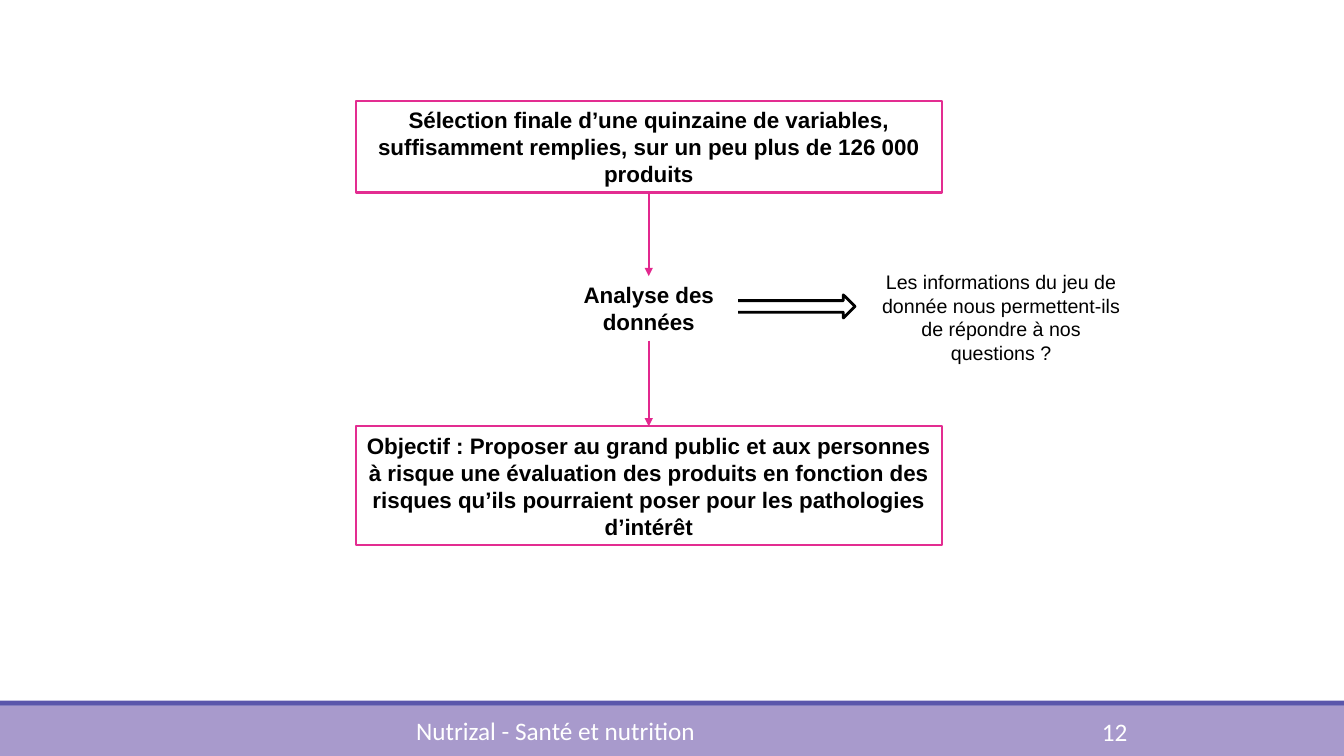
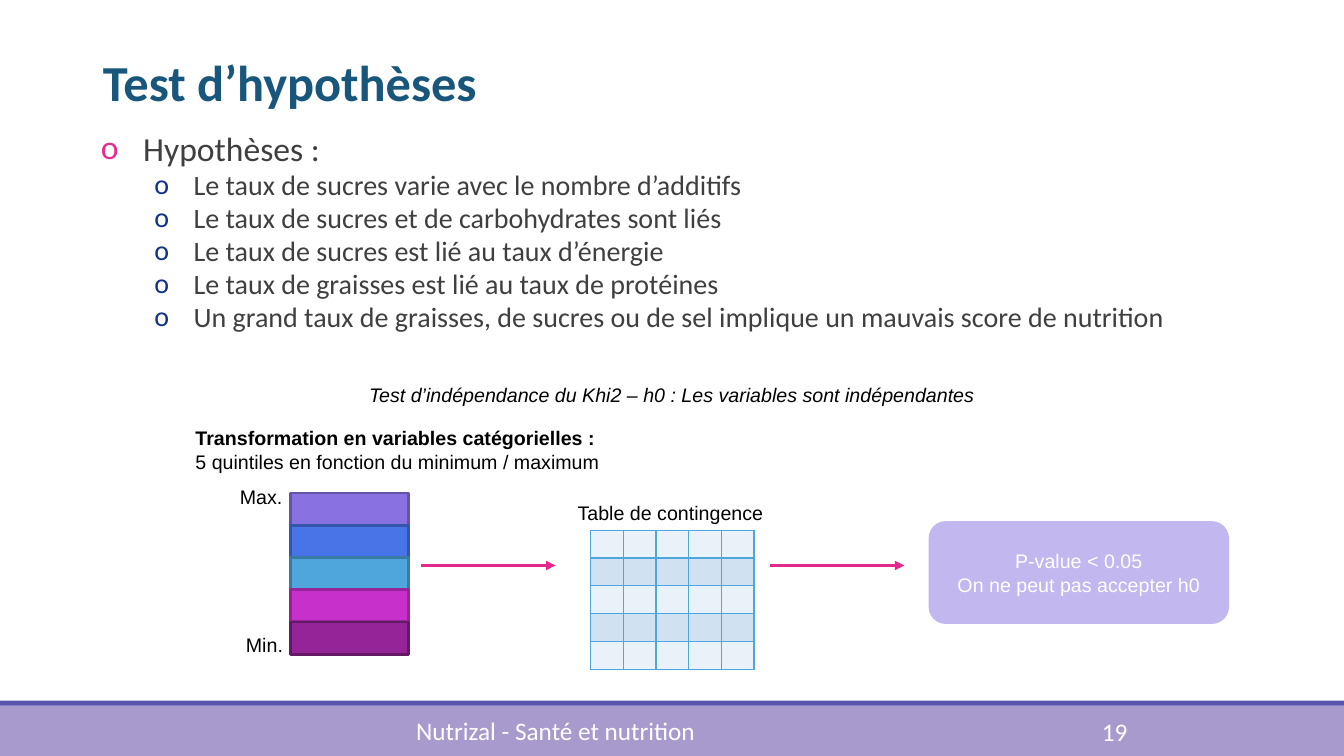
"""Build two slides on food data: the analysis flow and the hypothesis tests."""
from dataclasses import dataclass

from lxml import etree
from pptx import Presentation
from pptx import util as u
from pptx.dml.color import RGBColor
from pptx.enum import shapes, text
from pptx.oxml.ns import qn

LEFT, CENTER = text.PP_ALIGN.LEFT, text.PP_ALIGN.CENTER
SHAPE = shapes.MSO_SHAPE


@dataclass(frozen=True)
class Theme:
    """Colours, fonts and type sizes of the deck."""
    black: str = "000000"
    white: str = "FFFFFF"
    title: str = "18567C"
    body: str = "3F3F3F"
    box_line: str = "E32D91"
    arrow: str = "E2288E"
    sub_bullet: str = "113285"
    band: str = "472993"
    band_edge: str = "211C8E"
    result: str = "8971E1"
    grid_line: str = "4EA6DC"
    grid_fills: tuple = ("E9F1F9", "D0E1F2")
    quintiles: tuple = (("8971E1", "6554A6"), ("4775E7", "3557AB"),
                        ("4EA6DC", "3A7BA3"), ("C830CC", "942497"),
                        ("962499", "641866"))
    text_font: str = "Calibri"
    diagram_font: str = "Arial"
    title_size: int = 36
    body_size: int = 24
    sub_size: int = 20
    footer_size: int = 18
    step_size: int = 16
    note_size: int = 14
    cell_size: int = 8


T = Theme()


def rgb(color):
    """Turn a hex string into a colour."""
    return RGBColor.from_string(color)


def add_xml(parent, tag, **attrs):
    """Append a DrawingML child element."""
    return etree.SubElement(parent, qn(tag), attrs)


def add_run(p, content, size, color, font, style=""):
    """Add one formatted run; style holds b for bold and i for italic."""
    r = p.add_run()
    r.text = content
    r.font.size, r.font.name = u.Pt(size), font
    r.font.color.rgb = rgb(color)
    r.font.bold, r.font.italic = "b" in style, "i" in style


def write(tf, lines, size=T.note_size, color=T.black, align=LEFT,
          font=T.diagram_font):
    """Write (text, style) lines as paragraphs."""
    tf.word_wrap = True
    for i, (content, style) in enumerate(lines):
        p = tf.paragraphs[0] if i == 0 else tf.add_paragraph()
        p.alignment = align
        add_run(p, content, size, color, font, style)


def add_label(s, at, *lines, **fmt):
    """Add a text box."""
    sp = s.shapes.add_textbox(*map(u.Inches, at))
    write(sp.text_frame, lines, **fmt)
    return sp


def style_shape(sp, fill=None, line=None, width=2, opacity=100):
    """Set the fill, outline and opacity of a shape, without shadow."""
    sp.shadow.inherit = False
    if fill:
        sp.fill.solid()
        sp.fill.fore_color.rgb = rgb(fill)
        if opacity < 100:
            color = sp.element.spPr.find(qn("a:solidFill"))[0]
            add_xml(color, "a:alpha", val=str(opacity * 1000))
    else:
        sp.fill.background()
    if line:
        sp.line.color.rgb = rgb(line)
        sp.line.width = u.Pt(width)
    else:
        sp.line.fill.background()


def add_block(s, at, kind=SHAPE.RECTANGLE, **look):
    """Add a styled preset shape."""
    sp = s.shapes.add_shape(kind, *map(u.Inches, at))
    style_shape(sp, **look)
    return sp


def add_step(s, at, content):
    """Add an outlined box of the flow."""
    sp = add_block(s, at, line=T.box_line, width=1.5)
    write(sp.text_frame, [(content, "b")], size=T.step_size, align=CENTER)
    return sp


def add_arrow(s, start=(0, 0), end=(0, 0), width=2.25):
    """Add a straight arrow."""
    c = s.shapes.add_connector(shapes.MSO_CONNECTOR.STRAIGHT,
                               *map(u.Inches, (*start, *end)))
    c.line.color.rgb = rgb(T.arrow)
    c.line.width = u.Pt(width)
    add_xml(c.element.spPr.find(qn("a:ln")), "a:tailEnd", type="triangle")
    add_xml(c.element.spPr, "a:effectLst")
    return c


def join_down(s, upper, lower):
    """Join the bottom of one shape to the top of another."""
    c = add_arrow(s, width=1.5)
    c.begin_connect(upper, 2)
    c.end_connect(lower, 0)


def add_open_arrow(s, left, right, middle, head=0.115):
    """Add an outlined block arrow that is open at its tail."""
    neck, half = right - head, head / 2
    points = [(left, -half), (neck, -half), (neck, -head), (right, 0),
              (neck, head), (neck, half), (left, half)]
    points = [(u.Inches(x), u.Inches(middle + dy)) for x, dy in points]
    outline = s.shapes.build_freeform(*points[0], scale=1.0)
    outline.add_line_segments(points[1:], close=False)
    style_shape(outline.convert_to_shape(), line=T.black)


def add_grid(s, at, count):
    """Add an empty square table with banded rows."""
    table = s.shapes.add_table(count, count, *map(u.Inches, at)).table
    table.first_row = table.horz_banding = False
    for i, row in enumerate(table.rows):
        for cell in row.cells:
            cell.margin_top = cell.margin_bottom = u.Inches(0.03)
            cell.fill.solid()
            cell.fill.fore_color.rgb = rgb(T.grid_fills[i % 2])
            tc = cell._tc
            add_xml(tc.find(".//" + qn("a:p")), "a:endParaRPr",
                    sz=str(T.cell_size * 100))
            for n, side in enumerate("LRTB"):
                ln = etree.Element(qn("a:ln" + side), w=str(u.Pt(1)))
                add_xml(add_xml(ln, "a:solidFill"), "a:srgbClr",
                        val=T.grid_line)
                tc.tcPr.insert(n, ln)


def place(sp, at):
    """Move and size a placeholder."""
    sp.left, sp.top, sp.width, sp.height = map(u.Inches, at)
    sp.text_frame.auto_size = text.MSO_AUTO_SIZE.NONE


def set_title(s, content):
    """Fill the title placeholder."""
    sp = s.shapes.title
    place(sp, (0.92, 0.39, 11.5, 0.92))
    tf = sp.text_frame
    tf.vertical_anchor = text.MSO_ANCHOR.MIDDLE
    write(tf, [(content, "b")], T.title_size, T.title, font=T.text_font)
    tf.paragraphs[0].line_spacing = 0.85


def add_bullet(p, content, level):
    """Format one list paragraph with its round bullet."""
    size, color, before, left, hang = (
        (T.sub_size, T.sub_bullet, 2, 1, 0.39) if level
        else (T.body_size, T.box_line, 12, 0.5, 0.42))
    p.level, p.line_spacing = level, 0.9
    p.space_before, p.space_after = u.Pt(before), u.Pt(0)
    add_run(p, content, size, T.body, T.text_font)
    pPr = p._p.get_or_add_pPr()
    pPr.set("marL", str(u.Inches(left)))
    pPr.set("indent", str(-u.Inches(hang)))
    add_xml(add_xml(pPr, "a:buClr"), "a:srgbClr", val=color)
    add_xml(pPr, "a:buFont", typeface=T.text_font)
    add_xml(pPr, "a:buChar", char="o")


def set_list(s, heading, items):
    """Fill the body placeholder with a heading and its items."""
    sp = s.placeholders[1]
    place(sp, (0.92, 1.26, 11.5, 4.59))
    tf = sp.text_frame
    tf.margin_left = tf.margin_right = 0
    tf.vertical_anchor = text.MSO_ANCHOR.TOP
    add_bullet(tf.paragraphs[0], heading, 0)
    for item in items:
        add_bullet(tf.add_paragraph(), item, 1)


def add_master_bands(prs, s):
    """Draw the bottom bands and move them to the slide master."""
    tree = prs.slide_master.element.cSld.spTree
    for top, height, fill, opacity in ((7, 0.5, T.band, 47),
                                       (6.95, 0.05, T.band_edge, 74)):
        band = add_block(s, (0, top, 13.33, height), fill=fill,
                         opacity=opacity)
        tree.append(band.element)


def add_footer(s, number):
    """Add the deck name and the page number."""
    fmt = dict(size=T.footer_size, color=T.white, font=T.text_font)
    add_label(s, (10.83, 7.06, 1.43, 0.4), (number, ""), **fmt)
    add_label(s, (4.03, 7.05, 5.27, 0.4),
              ("Nutrizal - Santé et nutrition", ""), **fmt)


def build_flow(s):
    """Build the flow from the selected variables to the goal."""
    selection = add_step(
        s, (3.53, 1, 5.81, 0.91),
        "Sélection finale d’une quinzaine de variables, suffisamment "
        "remplies, sur un peu plus de 126 000 produits")
    goal = add_step(
        s, (3.53, 4.23, 5.81, 1.18),
        "Objectif : Proposer au grand public et aux personnes à risque une "
        "évaluation des produits en fonction des risques qu’ils pourraient "
        "poser pour les pathologies d’intérêt")
    analysis = add_label(s, (5.62, 2.74, 1.63, 0.64),
                         ("Analyse des données", "b"),
                         size=T.step_size, align=CENTER)
    join_down(s, selection, analysis)
    join_down(s, analysis, goal)
    add_label(s, (8.61, 2.63, 2.64, 1.04),
              ("Les informations du jeu de donnée nous permettent-ils de "
               "répondre à nos questions ?", ""), align=CENTER)
    add_open_arrow(s, 7.32, 8.48, 3.04)
    add_footer(s, "12")


def build_tests(s):
    """Build the hypotheses and the steps of the independence test."""
    set_title(s, "Test d’hypothèses")
    set_list(s, "Hypothèses :", (
        "Le taux de sucres varie avec le nombre d’additifs",
        "Le taux de sucres et de carbohydrates sont liés",
        "Le taux de sucres est lié au taux d’énergie",
        "Le taux de graisses est lié au taux de protéines",
        "Un grand taux de graisses, de sucres ou de sel implique un mauvais "
        "score de nutrition"))
    add_label(s, (3.4, 3.75, 6.53, 0.34),
              ("Test d’indépendance du Khi2 – h0 : Les variables sont "
               "indépendantes", "i"), align=CENTER)
    add_label(s, (1.84, 4.18, 4.8, 0.57),
              ("Transformation en variables catégorielles :", "b"),
              ("5 quintiles en fonction du minimum / maximum", ""))
    for i, (fill, line) in enumerate(T.quintiles):
        add_block(s, (2.88, 4.89 + 0.32 * i, 1.17, 0.32), fill=fill,
                  line=line)
    add_label(s, (2.34, 6.23, 0.68, 0.34), ("Min.", ""))
    add_label(s, (2.28, 4.76, 0.79, 0.34), ("Max.", ""))
    add_label(s, (5.63, 4.92, 2.45, 0.34), ("Table de contingence", ""))
    add_grid(s, (5.86, 5.26, 1.62, 1.38), 5)
    for left in (4.18, 7.64):
        add_arrow(s, (left, 5.61), (left + 1.33, 5.61))
    result = add_block(s, (9.21, 5.17, 2.98, 1.02), SHAPE.ROUNDED_RECTANGLE,
                       fill=T.result, opacity=50)
    write(result.text_frame, [("P-value < 0.05", ""),
                              ("On ne peut pas accepter h0", "")],
          color=T.white, align=CENTER)
    add_footer(s, "19")


def main():
    """Create the deck and save it."""
    prs = Presentation()
    prs.slide_width, prs.slide_height = u.Inches(13.33), u.Inches(7.5)
    flow = prs.slides.add_slide(prs.slide_layouts[6])
    add_master_bands(prs, flow)
    build_flow(flow)
    build_tests(prs.slides.add_slide(prs.slide_layouts[1]))
    prs.save("out.pptx")


if __name__ == "__main__":
    main()
